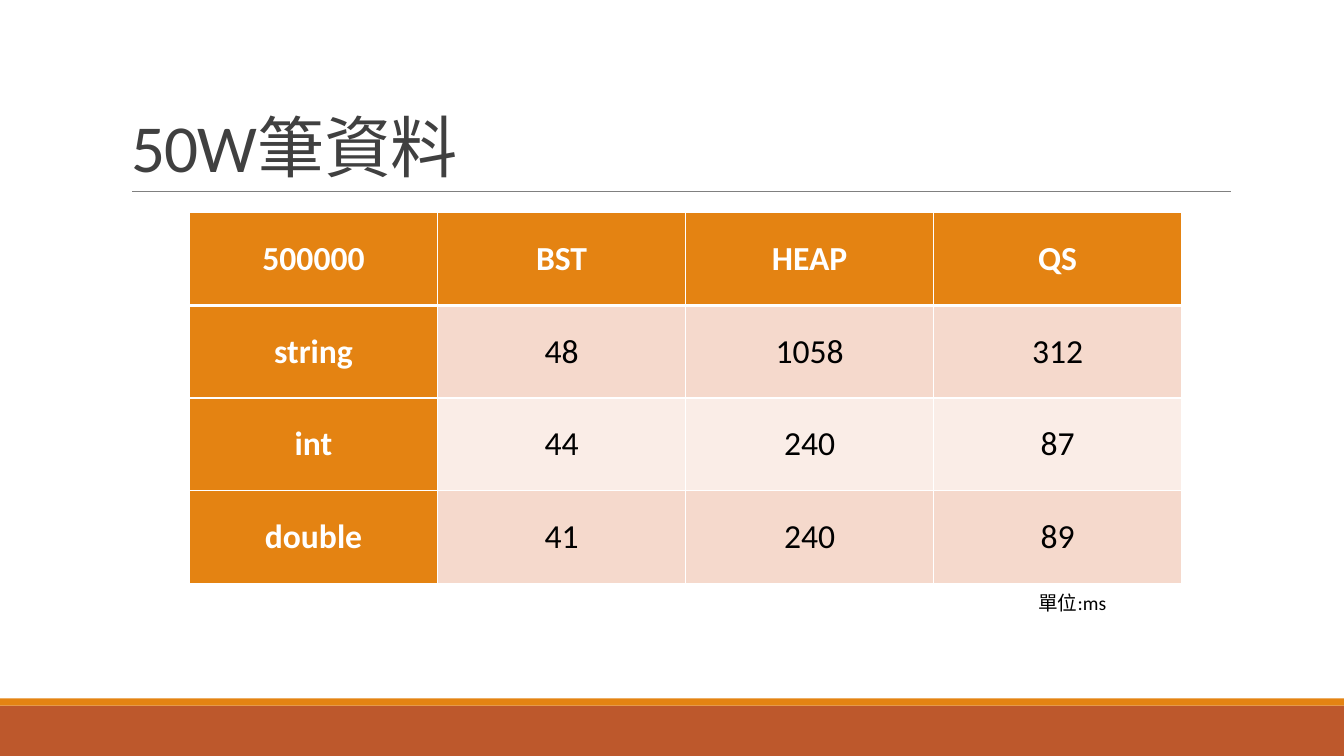
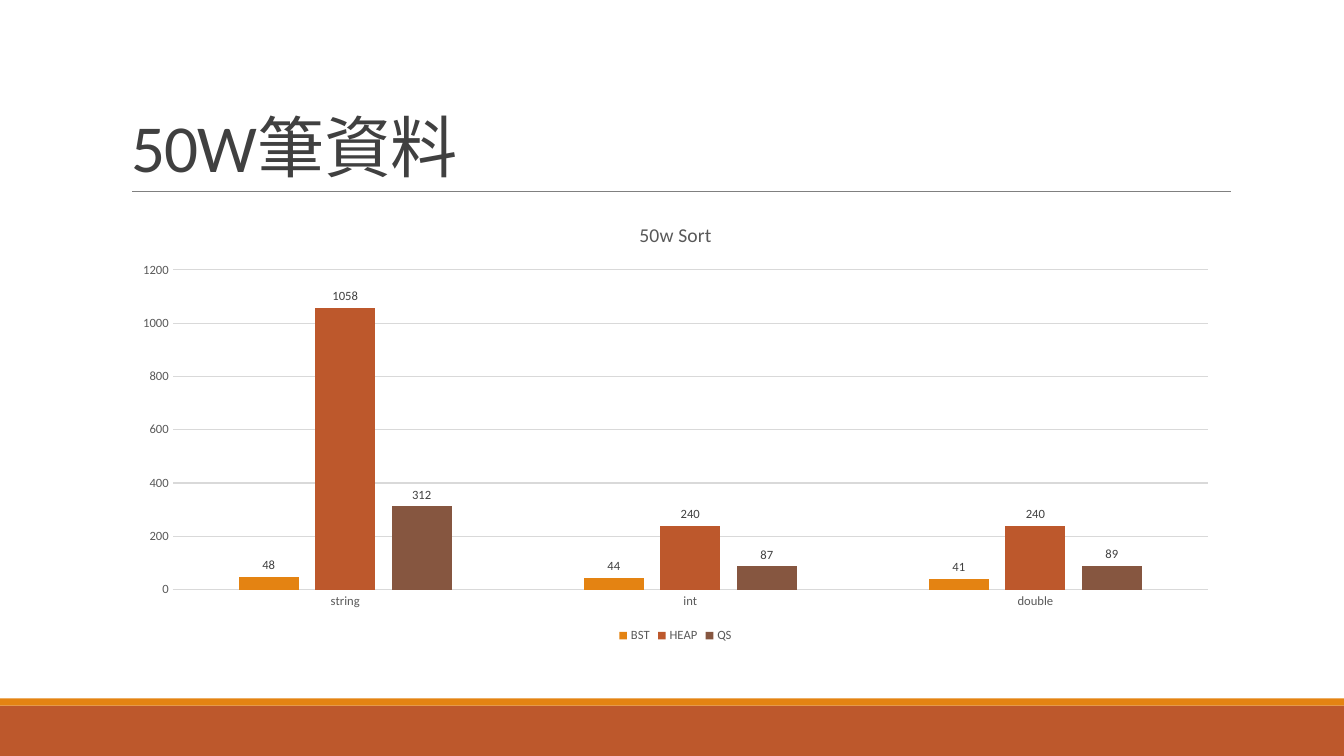
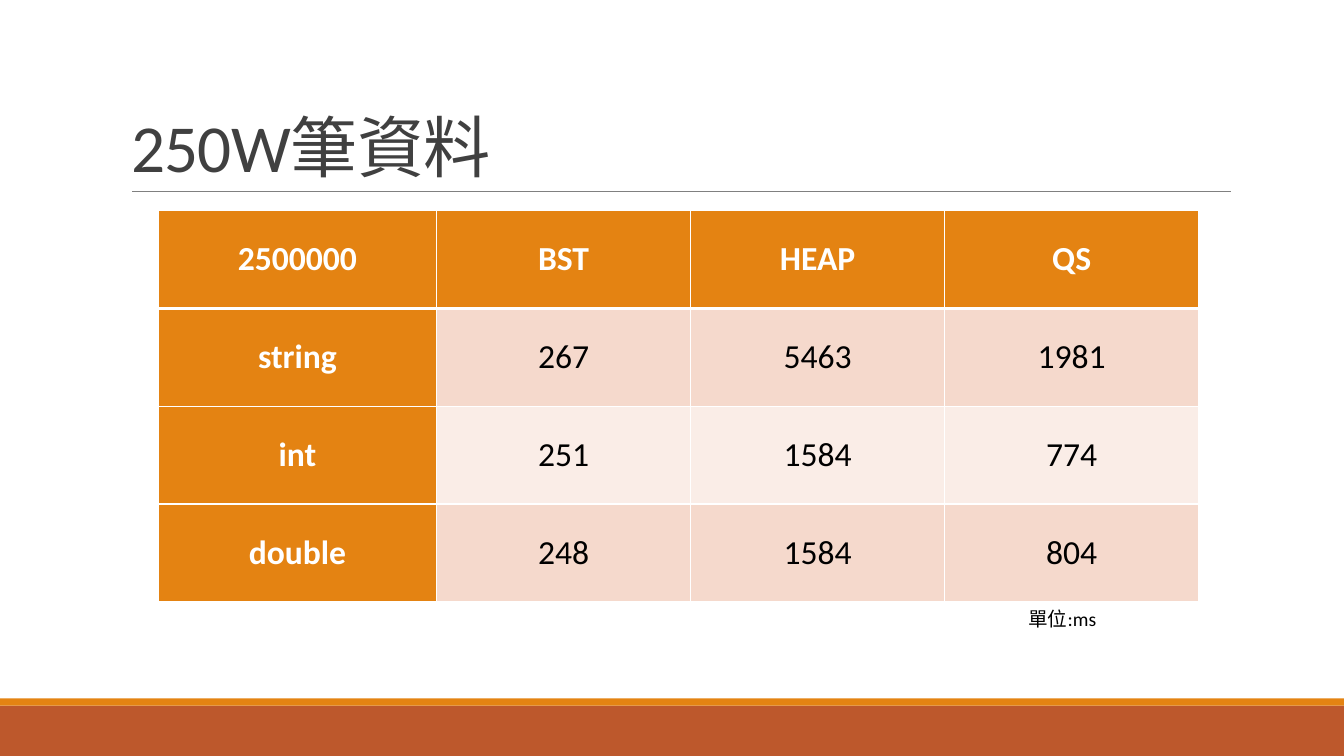
from lxml.etree import SubElement
from pptx import Presentation
from pptx.chart.data import CategoryChartData
from pptx.dml.color import RGBColor
from pptx.enum.chart import XL_CHART_TYPE, XL_LABEL_POSITION, XL_LEGEND_POSITION, XL_TICK_MARK
from pptx.enum.shapes import MSO_CONNECTOR, MSO_SHAPE, PP_PLACEHOLDER
from pptx.enum.text import MSO_ANCHOR, MSO_AUTO_SIZE, PP_ALIGN
from pptx.oxml.ns import qn
from pptx.util import Inches, Pt

# Shared colours and font
FONT = "Calibri"
ORANGE, RUST, BROWN = "E48312", "BD582C", "865640"
WHITE, BLACK = "FFFFFF", "000000"
TITLE_GRAY, LABEL_GRAY, RULE_GRAY, GRID_GRAY = "404040", "595959", "808080", "D9D9D9"
ROW_TINTS = ("F5D9CC", "FAEDE7")

# Sorting times in milliseconds
METHODS = ("BST", "HEAP", "QS")
HALF_MILLION = {"string": (48, 1058, 312), "int": (44, 240, 87), "double": (41, 240, 89)}
TWO_AND_A_HALF_MILLION = {
    "string": (267, 5463, 1981), "int": (251, 1584, 774), "double": (248, 1584, 804)}


def rgb(hex_color):
    return RGBColor.from_string(hex_color)


def set_attributes(target, values):
    for name, value in values.items():
        setattr(target, name, value)


def format_font(font, size, color, bold=False):
    set_attributes(font, {"name": FONT, "size": Pt(size), "bold": bold})
    font.color.rgb = rgb(color)


def format_line(line, color, width):
    line.color.rgb = rgb(color)
    line.width = Pt(width)


# Parts shared through the layout
def add_band(slide, top, height, color):
    band = slide.shapes.add_shape(
        MSO_SHAPE.RECTANGLE, 0, Inches(top), Inches(13.33), Inches(height))
    band.shadow.inherit = False
    band.fill.solid()
    band.fill.fore_color.rgb = rgb(color)
    band.line.fill.background()
    return band


def add_title_rule(slide):
    rule = slide.shapes.add_connector(
        MSO_CONNECTOR.STRAIGHT, Inches(1.31), Inches(1.9), Inches(12.21), Inches(1.9))
    format_line(rule.line, RULE_GRAY, 0.5)
    SubElement(rule.element.spPr, qn("a:effectLst"))
    return rule


def prepare_layout(layout):
    for placeholder in list(layout.placeholders):
        if placeholder.placeholder_format.type == PP_PLACEHOLDER.TITLE:
            set_attributes(placeholder, {
                "left": Inches(1.2), "top": Inches(0.31),
                "width": Inches(11), "height": Inches(1.59)})
        else:
            layout.shapes.element.remove(placeholder.element)


def move_decoration_to_layout(slide):
    decoration = [add_band(slide, 7, 0.5, RUST), add_band(slide, 6.93, 0.07, ORANGE),
                  add_title_rule(slide)]
    for shape in decoration:
        slide.slide_layout.shapes.element.append(shape.element)


# Slide elements
def add_titled_slide(presentation, layout, text):
    slide = presentation.slides.add_slide(layout)
    frame = slide.shapes.title.text_frame
    set_attributes(frame, {"vertical_anchor": MSO_ANCHOR.BOTTOM, "word_wrap": True,
                           "auto_size": MSO_AUTO_SIZE.NONE})
    paragraph = frame.paragraphs[0]
    set_attributes(paragraph, {"alignment": PP_ALIGN.LEFT, "line_spacing": 0.85})
    run = paragraph.add_run()
    run.text = text
    format_font(run.font, 48, TITLE_GRAY)
    run._r.get_or_add_rPr().set("spc", "-50")
    return slide


def add_unit_note(slide, left, top):
    box = slide.shapes.add_textbox(Inches(left), Inches(top), Inches(2.43), Inches(0.34))
    frame = box.text_frame
    set_attributes(frame, {"word_wrap": True, "vertical_anchor": MSO_ANCHOR.MIDDLE,
                           "auto_size": MSO_AUTO_SIZE.SHAPE_TO_FIT_TEXT})
    paragraph = frame.paragraphs[0]
    paragraph._p.get_or_add_pPr().set("indent", str(Inches(0.33)))
    run = paragraph.add_run()
    run.text = "單位:ms"
    format_font(run.font, 14, BLACK)


def set_cell_borders(cell, widths):
    properties = cell._tc.get_or_add_tcPr()
    for side, width in widths.items():
        border = SubElement(properties, qn(f"a:ln{side}"), w=str(Pt(width)))
        fill = SubElement(border, qn("a:solidFill"))
        SubElement(fill, qn("a:srgbClr"), val=WHITE)


def fill_cell(cell, value, row, column):
    is_heading = row == 0 or column == 0
    set_cell_borders(cell, {"L": 1, "R": 1, "T": 3 if row == 1 else 1, "B": 3 if row == 0 else 1})
    cell.fill.solid()
    cell.fill.fore_color.rgb = rgb(ORANGE if is_heading else ROW_TINTS[(row - 1) % 2])
    set_attributes(cell, {"vertical_anchor": MSO_ANCHOR.MIDDLE,
                          "margin_left": Inches(0.07), "margin_right": Inches(0.07),
                          "margin_top": 0, "margin_bottom": 0})
    paragraph = cell.text_frame.paragraphs[0]
    paragraph.alignment = PP_ALIGN.CENTER
    run = paragraph.add_run()
    run.text = str(value)
    format_font(run.font, 24, WHITE if is_heading else BLACK, is_heading)


def add_times_table(slide, count, times, left, top, column_widths, row_height):
    rows = [(count, *METHODS)] + [(kind, *values) for kind, values in times.items()]
    table = slide.shapes.add_table(
        len(rows), len(column_widths), Inches(left), Inches(top),
        Inches(sum(column_widths)), Inches(row_height * len(rows))).table
    table.first_col = True
    for column, width in zip(table.columns, column_widths):
        column.width = Inches(width)
    for row_index, values in enumerate(rows):
        table.rows[row_index].height = Inches(row_height)
        for column_index, value in enumerate(values):
            fill_cell(table.cell(row_index, column_index), value, row_index, column_index)


def format_axes(chart):
    for axis in (chart.category_axis, chart.value_axis):
        set_attributes(axis, {"major_tick_mark": XL_TICK_MARK.NONE,
                              "minor_tick_mark": XL_TICK_MARK.NONE})
        format_font(axis.tick_labels.font, 9, LABEL_GRAY)
    format_line(chart.category_axis.format.line, GRID_GRAY, 0.75)
    chart.value_axis.format.line.fill.background()
    chart.value_axis.has_major_gridlines = True
    format_line(chart.value_axis.major_gridlines.format.line, GRID_GRAY, 0.75)


def format_series(series, color):
    series.format.fill.solid()
    series.format.fill.fore_color.rgb = rgb(color)
    labels = series.data_labels
    set_attributes(labels, {"show_value": True, "position": XL_LABEL_POSITION.OUTSIDE_END})
    format_font(labels.font, 9, TITLE_GRAY)


def add_times_chart(slide, title, times):
    data = CategoryChartData()
    data.categories = list(times)
    for method, values in zip(METHODS, zip(*times.values())):
        data.add_series(method, values)
    chart = slide.shapes.add_chart(
        XL_CHART_TYPE.COLUMN_CLUSTERED, Inches(1.2), Inches(2.02),
        Inches(11), Inches(4.4), data).chart
    format_font(chart.font, 10, BLACK)

    chart.has_title = True
    chart.chart_title.include_in_layout = False
    run = chart.chart_title.text_frame.paragraphs[0].add_run()
    run.text = title
    format_font(run.font, 14, LABEL_GRAY)

    chart.has_legend = True
    set_attributes(chart.legend, {"position": XL_LEGEND_POSITION.BOTTOM,
                                  "include_in_layout": False})
    format_font(chart.legend.font, 9, LABEL_GRAY)

    format_axes(chart)
    plot = chart.plots[0]
    set_attributes(plot, {"gap_width": 219, "overlap": -27, "vary_by_categories": False})
    for series, color in zip(plot.series, (ORANGE, RUST, BROWN)):
        format_series(series, color)


def main():
    presentation = Presentation()
    set_attributes(presentation, {"slide_width": Inches(13.33), "slide_height": Inches(7.5)})
    layout = presentation.slide_layouts.get_by_name("Title Only")
    prepare_layout(layout)

    # Table of 500,000 records
    slide = add_titled_slide(presentation, layout, "50W筆資料")
    move_decoration_to_layout(slide)
    add_unit_note(slide, 9.87, 5.81)
    add_times_table(slide, 500000, HALF_MILLION, 1.88, 2.11, [2.46] * 4, 0.92)

    # Chart of 500,000 records
    slide = add_titled_slide(presentation, layout, "50W筆資料")
    add_times_chart(slide, "50w Sort", HALF_MILLION)

    # Table of 2,500,000 records
    slide = add_titled_slide(presentation, layout, "250W筆資料")
    add_unit_note(slide, 9.77, 5.97)
    add_times_table(slide, 2500000, TWO_AND_A_HALF_MILLION, 1.57, 2.09,
                    [2.76] + [2.52] * 3, 0.97)

    presentation.save("out.pptx")


if __name__ == "__main__":
    main()
